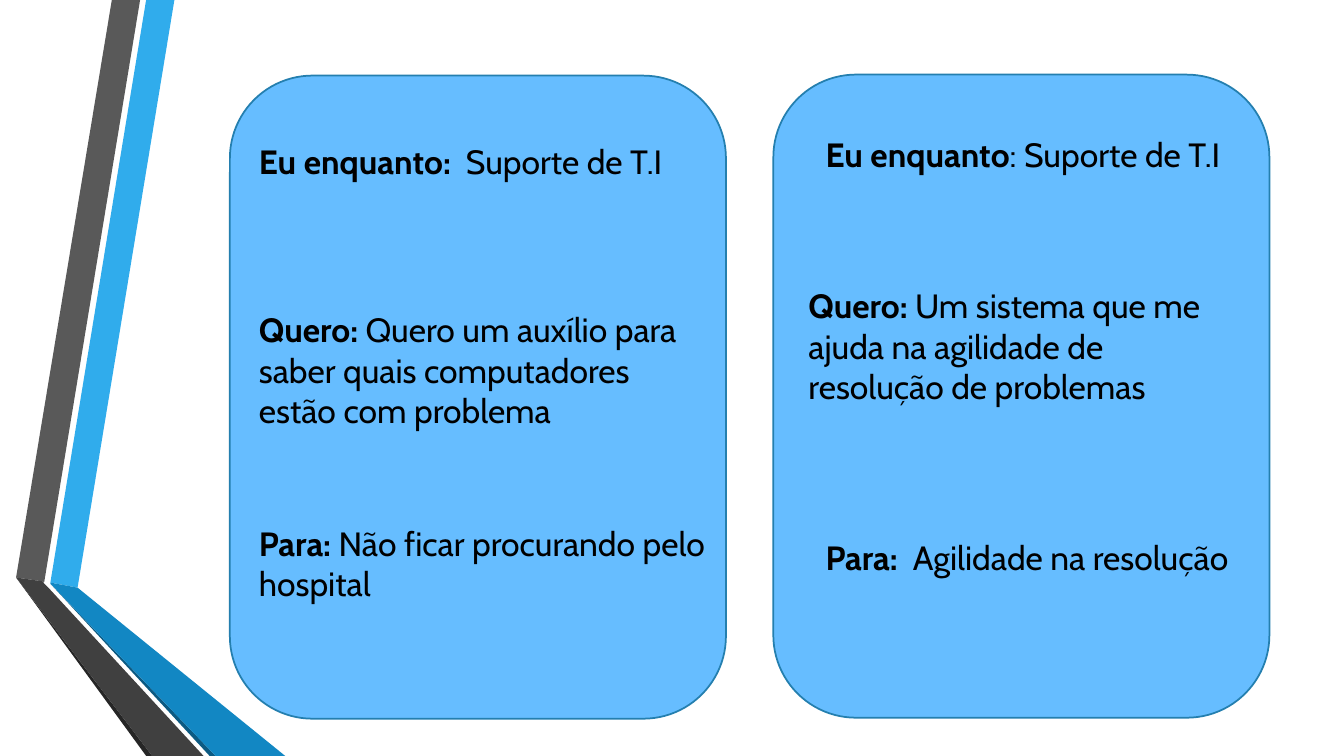
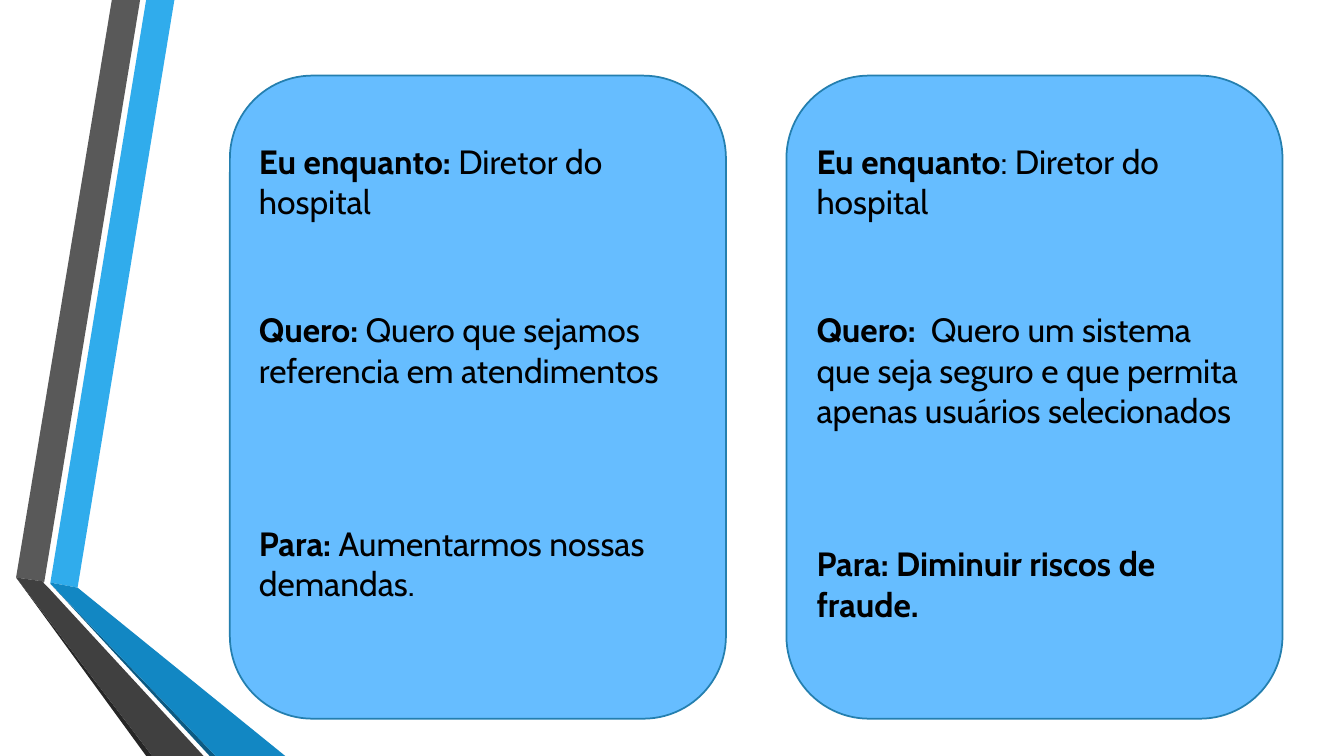
from pptx import Presentation
from pptx.dml.color import RGBColor
from pptx.enum.shapes import MSO_SHAPE
from pptx.enum.text import MSO_AUTO_SIZE
from pptx.util import Emu, Pt

ROUNDED = MSO_SHAPE.ROUNDED_RECTANGLE
GROW = MSO_AUTO_SIZE.SHAPE_TO_FIT_TEXT
BLANK_LAYOUT = 6
SCALE = 9144  # EMU per px, 100 px to the inch
SLIDE_SIZE = (1333, 750)
CARD_SIZE = (492, 638)

# Ribbon along the left edge: colour and outline, back to front
RIBBON = [
    ("30ACEC", [(50, 578), (77, 583), (173, 0), (145, 0)]),
    ("595959", [(139, 0), (111, 0), (16, 573), (44, 577)]),
    ("262626", [(16, 573), (145, 750), (151, 750)]),
    ("0C5A82", [(50, 579), (208, 750), (214, 750)]),
    ("1287C3", [(50, 578), (50, 579), (214, 750), (283, 750), (77, 583)]),
    ("404040", [(202, 750), (48, 583), (43, 578), (44, 577), (16, 573), (151, 750)]),
]

# Each slide holds cards: (left, top) and statements
# Each statement: left, top, width, bold words, regular words
SLIDES = [
    [
        ((228, 75), [
            (247, 135, 445, "Eu enquanto:  ", "Suporte de T.I"),
            (247, 302, 467, "Quero: ",
             "Quero um auxílio para saber quais computadores estão com problema"),
            (247, 514, 467, "Para: ", "Não ficar procurando pelo hospital"),
        ]),
        ((767, 74), [
            (809, 128, 439, "Eu enquanto", ": Suporte de T.I"),
            (792, 278, 439, "Quero: ",
             "Um sistema que me ajuda na agilidade de resolução de problemas"),
            (809, 528, 439, "Para:  ", "Agilidade na resolução"),
        ]),
    ],
    [
        ((228, 75), [
            (247, 135, 444, "Eu enquanto: ", "Diretor do hospital"),
            (247, 302, 467, "Quero: ", "Quero que sejamos referencia em atendimentos"),
            (247, 514, 444, "Para:", " Aumentarmos nossas demandas."),
        ]),
        ((780, 75), [
            (800, 135, 439, "Eu enquanto", ": Diretor do hospital"),
            (800, 302, 439, "Quero:  ",
             "Quero um sistema que seja seguro e que permita apenas usuários selecionados"),
            (800, 534, 439, "Para: Diminuir riscos de fraude.", ""),
        ]),
    ],
]


def px(length):
    return Emu(length * SCALE)


def color(value):
    return RGBColor.from_string(value)


class Deck:
    """Holds the shared style and the current slide."""

    font_name = "Cabin"
    font_size = Pt(24)
    text_color = "000000"
    card_fill = "66BDFF"
    card_line = "247FAF"

    def __init__(self):
        self.presentation = Presentation()
        self.presentation.slide_width, self.presentation.slide_height = map(px, SLIDE_SIZE)
        self.slide = None

    def add_slide(self):
        layout = self.presentation.slide_layouts[BLANK_LAYOUT]
        self.slide = self.presentation.slides.add_slide(layout)

    def add_master_ribbon(self):
        """Draw the ribbon as a group, then move it to the slide master."""
        group = self.slide.shapes.add_group_shape()
        for fill, (start, *points) in RIBBON:
            builder = group.shapes.build_freeform(*start, scale=SCALE)
            builder.add_line_segments(points, close=True)
            shape = builder.convert_to_shape()
            shape.shadow.inherit = False
            shape.fill.solid()
            shape.fill.fore_color.rgb = color(fill)
            shape.line.fill.background()
        # Fresh ids keep clear of the master's own shapes
        for number, properties in enumerate(group.element.xpath(".//p:cNvPr"), 100):
            properties.set("id", str(number))
        self.presentation.slide_master.element.cSld.spTree.insert(2, group.element)

    def add_card(self, left, top):
        shape = self.slide.shapes.add_shape(ROUNDED, *map(px, (left, top, *CARD_SIZE)))
        shape.shadow.inherit = False
        shape.fill.solid()
        shape.fill.fore_color.rgb = color(self.card_fill)
        shape.line.color.rgb = color(self.card_line)
        shape.line.width = Pt(1.25)

    def add_statement(self, left, top, width, label, words):
        box = self.slide.shapes.add_textbox(*map(px, (left, top, width, 50)))
        frame = box.text_frame
        frame.word_wrap = True
        frame.auto_size = GROW
        paragraph = frame.paragraphs[0]
        for text, bold in ((label, True), (words, False)):
            if not text:
                continue
            run = paragraph.add_run()
            run.text = text
            run.font.name = self.font_name
            run.font.size = self.font_size
            run.font.bold = bold
            run.font.color.rgb = color(self.text_color)


def main():
    deck = Deck()
    for index, cards in enumerate(SLIDES):
        deck.add_slide()
        if index == 0:
            deck.add_master_ribbon()
        for position, statements in cards:
            deck.add_card(*position)
            for statement in statements:
                deck.add_statement(*statement)
    deck.presentation.save("out.pptx")


if __name__ == "__main__":
    main()
